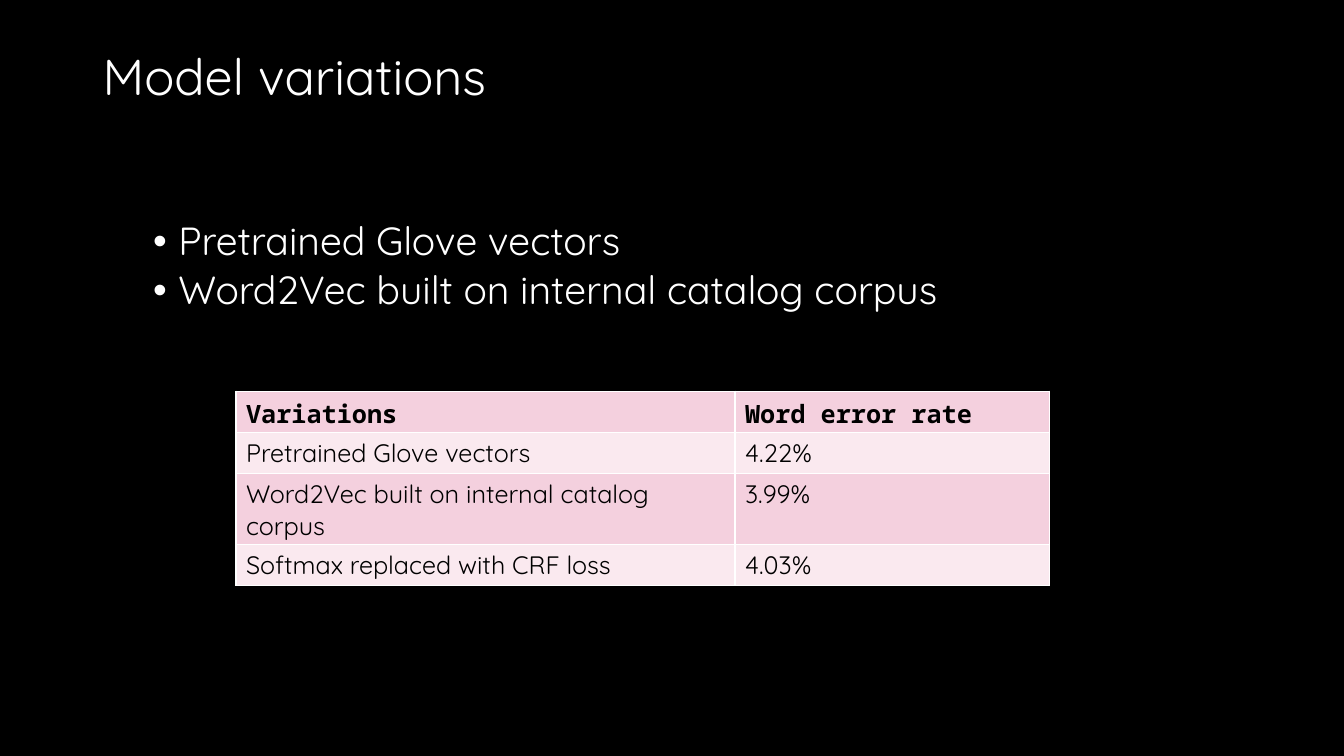
from dataclasses import dataclass

from lxml import etree
from pptx import Presentation
from pptx.dml.color import RGBColor
from pptx.enum.text import MSO_ANCHOR
from pptx.oxml.ns import qn
from pptx.slide import Slide
from pptx.table import _Cell
from pptx.text.text import TextFrame, _Paragraph
from pptx.util import Inches, Pt

TOP, MIDDLE = MSO_ANCHOR.TOP, MSO_ANCHOR.MIDDLE
COLORS = {
    "black": "000000",
    "white": "FFFFFF",
    "pink": "F4D0DE",
    "pale_pink": "FAE9EF",
}
BODY_FONT, HEADER_FONT = "Quicksand", "Noto Sans Mono"


@dataclass
class Variation:
    name: str
    error_rate: str


@dataclass
class Box:
    left: float
    top: float
    width: float
    height: float

    def lengths(self) -> list[int]:
        return [Inches(v) for v in (self.left, self.top, self.width, self.height)]


HEADER = Variation("Variations", "Word error rate")
VARIATIONS = [
    Variation("Pretrained Glove vectors", "4.22%"),
    Variation("Word2Vec built on internal catalog corpus", "3.99%"),
    Variation("Softmax replaced with CRF loss", "4.03%"),
]
TITLE_BOX = Box(0.92, 0.23, 9.17, 1.12)
BULLET_BOX = Box(0.92, 1.64, 11.5, 5.11)
TABLE_BOX = Box(2.34, 3.88, 8.07, 1.64)
COLUMN_WIDTHS = [4.95, 3.12]


def rgb(name: str) -> RGBColor:
    return RGBColor.from_string(COLORS[name])


def write(p: _Paragraph, text: str, *, size: float, color: str,
          font: str = BODY_FONT, bold: bool = False,
          line_spacing: float = 1.0, space_before: float = 0) -> None:
    p.line_spacing = line_spacing
    p.space_before = Pt(space_before)
    r = p.add_run()
    r.text = text
    r.font.name = font
    r.font.size = Pt(size)
    r.font.bold = bold
    r.font.color.rgb = rgb(color)


def add_text_frame(s: Slide, box: Box, anchor: MSO_ANCHOR) -> TextFrame:
    tf = s.shapes.add_textbox(*box.lengths()).text_frame
    tf.word_wrap = True
    tf.vertical_anchor = anchor
    return tf


def add_bullet(p: _Paragraph) -> None:
    pPr = p._p.get_or_add_pPr()
    pPr.set("marL", str(Inches(0.75)))
    pPr.set("indent", str(Inches(-0.25)))
    etree.SubElement(pPr, qn("a:buFont"), typeface="Arial")
    etree.SubElement(pPr, qn("a:buChar"), char="•")


def add_borders(cell: _Cell, color: str) -> None:
    tcPr = cell._tc.get_or_add_tcPr()
    for side in ("a:lnL", "a:lnR", "a:lnT", "a:lnB"):
        line = etree.SubElement(tcPr, qn(side), w=str(Pt(1)))
        fill = etree.SubElement(line, qn("a:solidFill"))
        etree.SubElement(fill, qn("a:srgbClr"), val=COLORS[color])


def add_title(s: Slide) -> None:
    tf = add_text_frame(s, TITLE_BOX, MIDDLE)
    write(tf.paragraphs[0], "Model variations", size=36, color="white",
          line_spacing=0.9)


def add_bullets(s: Slide) -> None:
    tf = add_text_frame(s, BULLET_BOX, TOP)
    tf.margin_top = Inches(0.56)
    for i, variation in enumerate(VARIATIONS[:2]):
        p = tf.add_paragraph() if i else tf.paragraphs[0]
        add_bullet(p)
        write(p, variation.name, size=28, color="white", line_spacing=0.9,
              space_before=5 if i else 0)


def add_error_table(s: Slide) -> None:
    rows = [HEADER, *VARIATIONS]
    table = s.shapes.add_table(len(rows), len(COLUMN_WIDTHS),
                               *TABLE_BOX.lengths()).table
    table.horz_banding = False
    for column, width in zip(table.columns, COLUMN_WIDTHS):
        column.width = Inches(width)
    for i, variation in enumerate(rows):
        is_header = i == 0
        for cell, text in zip(table.rows[i].cells,
                              (variation.name, variation.error_rate)):
            add_borders(cell, "white")
            cell.fill.solid()
            cell.fill.fore_color.rgb = rgb("pale_pink" if i % 2 else "pink")
            write(cell.text_frame.paragraphs[0], text, size=18, color="black",
                  font=HEADER_FONT if is_header else BODY_FONT, bold=is_header)


def main() -> None:
    prs = Presentation()
    prs.slide_width, prs.slide_height = Inches(13.33), Inches(7.5)
    s = prs.slides.add_slide(prs.slide_layouts[6])
    s.background.fill.solid()
    s.background.fill.fore_color.rgb = rgb("black")
    add_title(s)
    add_bullets(s)
    add_error_table(s)
    prs.save("out.pptx")


if __name__ == "__main__":
    main()
